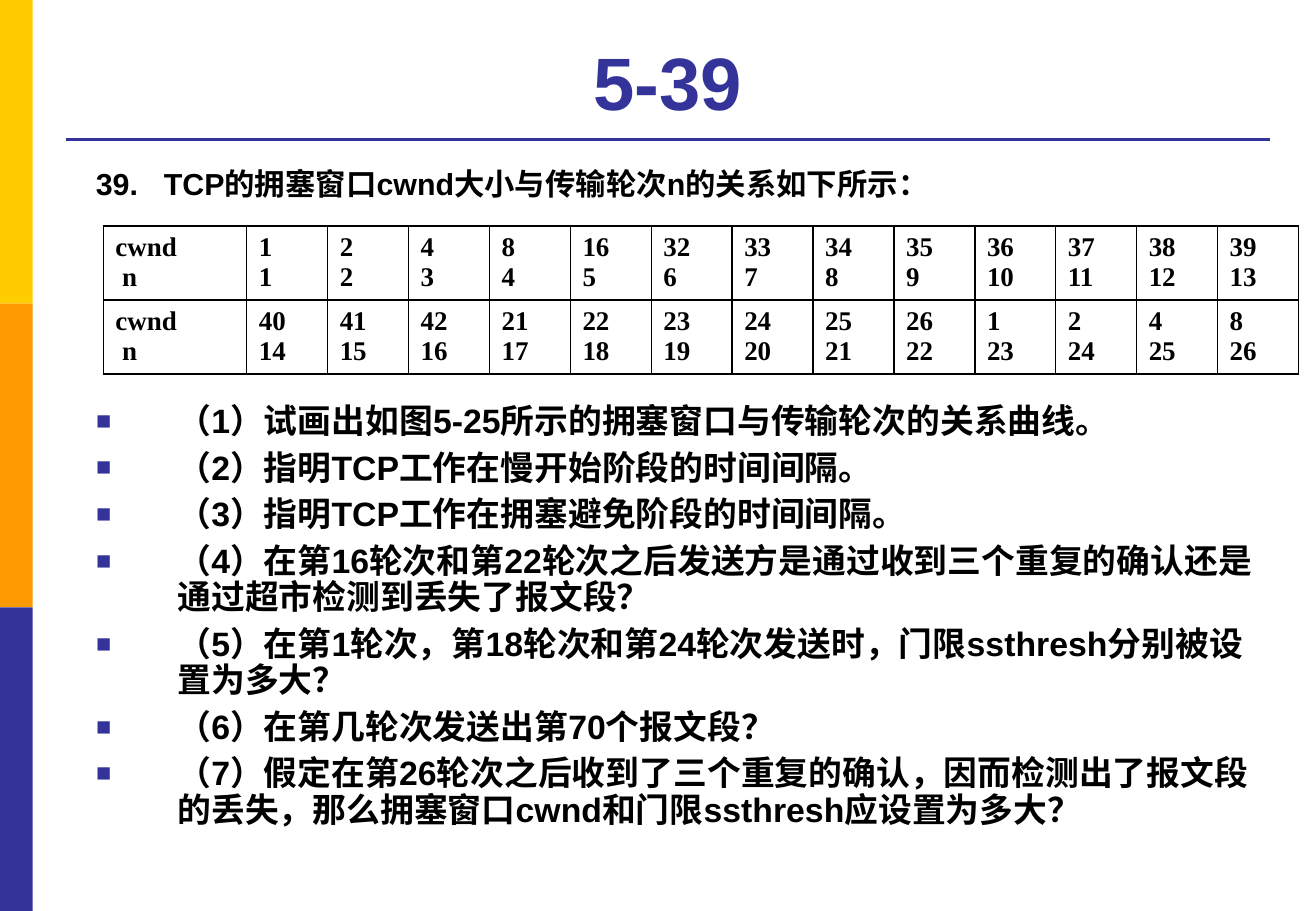
from lxml import etree
from pptx import Presentation
from pptx.dml.color import RGBColor
from pptx.enum.shapes import MSO_CONNECTOR, MSO_SHAPE
from pptx.enum.text import MSO_ANCHOR, MSO_AUTO_SIZE, PP_ALIGN
from pptx.oxml.ns import qn
from pptx.util import Inches, Pt

STRAIGHT = MSO_CONNECTOR.STRAIGHT
RECTANGLE = MSO_SHAPE.RECTANGLE
TOP, BOTTOM = MSO_ANCHOR.TOP, MSO_ANCHOR.BOTTOM
NO_FIT = MSO_AUTO_SIZE.NONE
LEFT, CENTER = PP_ALIGN.LEFT, PP_ALIGN.CENTER

YELLOW = RGBColor(0xFF, 0xCC, 0x00)
ORANGE = RGBColor(0xFF, 0x99, 0x00)
INDIGO = RGBColor(0x33, 0x33, 0x99)
BLACK = RGBColor(0, 0, 0)

WIDTH, HEIGHT = Inches(10.83), Inches(7.5)

WINDOWS = [
    [1, 2, 4, 8, 16, 32, 33, 34, 35, 36, 37, 38, 39],
    [40, 41, 42, 21, 22, 23, 24, 25, 26, 1, 2, 4, 8],
]
QUESTIONS = [
    "（1）试画出如图5-25所示的拥塞窗口与传输轮次的关系曲线。",
    "（2）指明TCP工作在慢开始阶段的时间间隔。",
    "（3）指明TCP工作在拥塞避免阶段的时间间隔。",
    "（4）在第16轮次和第22轮次之后发送方是通过收到三个重复的确认还是通过超市检测到丢失了报文段？",
    "（5）在第1轮次，第18轮次和第24轮次发送时，门限ssthresh分别被设置为多大？",
    "（6）在第几轮次发送出第70个报文段？",
    "（7）假定在第26轮次之后收到了三个重复的确认，因而检测出了报文段的丢失，那么拥塞窗口cwnd和门限ssthresh应设置为多大？",
]


def box(left, top, width, height):
    return tuple(Inches(length) for length in (left, top, width, height))


def place(shape, area):
    shape.left, shape.top, shape.width, shape.height = area


def add_bullet(properties):
    color = etree.SubElement(properties, qn("a:buClr"))
    etree.SubElement(color, qn("a:srgbClr"), val=str(INDIGO))
    etree.SubElement(properties, qn("a:buSzPct"), val="75000")
    etree.SubElement(properties, qn("a:buFont"), typeface="Arial")
    etree.SubElement(properties, qn("a:buChar"), char="■")


def write(frame, lines, size, font="Arial", color=BLACK, align=LEFT,
          anchor=TOP, hanging=0, spacing=1.0, before=0, bullet=False):
    frame.word_wrap = True
    frame.vertical_anchor = anchor
    for index, line in enumerate(lines):
        paragraph = frame.add_paragraph() if index else frame.paragraphs[0]
        paragraph.alignment = align
        paragraph.line_spacing = spacing
        paragraph.space_before = Pt(before)
        properties = paragraph._p.get_or_add_pPr()
        properties.set("marL", str(Inches(hanging)))
        properties.set("indent", str(-Inches(hanging)))
        if bullet:
            add_bullet(properties)
        run = paragraph.add_run()
        run.text = line
        run.font.size = Pt(size)
        run.font.name = font
        run.font.bold = True
        run.font.color.rgb = color


def draw_side_band(slide, area):
    left, top, width, height = area
    colors = (YELLOW, ORANGE, INDIGO)
    step = height // len(colors)
    for index, color in enumerate(colors):
        block = slide.shapes.add_shape(RECTANGLE, left, top + index * step, width, step)
        block.shadow.inherit = False
        block.fill.solid()
        block.fill.fore_color.rgb = color
        block.line.fill.background()


def draw_heading(slide, area):
    left, top, width, height = area
    heading = slide.shapes.title
    place(heading, area)
    heading.text_frame.auto_size = NO_FIT
    write(heading.text_frame, ["5-39"], 44, color=INDIGO, align=CENTER, anchor=BOTTOM)
    rule_y = top + round(height * 1.08)
    rule = slide.shapes.add_connector(STRAIGHT, left, rule_y, left + width, rule_y)
    rule.line.color.rgb = INDIGO
    rule.line.width = Pt(2.25)
    etree.SubElement(rule._element.spPr, qn("a:effectLst"))


def draw_intro(slide, area):
    intro = slide.shapes.add_textbox(*area)
    write(intro.text_frame, ["39.\tTCP的拥塞窗口cwnd大小与传输轮次n的关系如下所示："], 18, hanging=0.56)


def border_cell(cell):
    properties = cell._tc.get_or_add_tcPr()
    for index, side in enumerate(("a:lnL", "a:lnR", "a:lnT", "a:lnB")):
        edge = etree.Element(qn(side), w=str(Pt(1)))
        fill = etree.SubElement(edge, qn("a:solidFill"))
        etree.SubElement(fill, qn("a:srgbClr"), val=str(BLACK))
        properties.insert(index, edge)


def draw_window_table(slide, area):
    rounds = len(WINDOWS[0])
    table = slide.shapes.add_table(len(WINDOWS), rounds + 1, *area).table
    table.first_row = table.horz_banding = False
    label_width = round(area[2] * 0.12)
    for index, column in enumerate(table.columns):
        column.width = (area[2] - label_width) // rounds if index else label_width
    for row, windows in enumerate(WINDOWS):
        table.rows[row].height = area[3] // len(WINDOWS)
        first_round = row * rounds + 1
        pairs = [("cwnd", " n")] + [
            (str(window), str(number)) for number, window in enumerate(windows, first_round)]
        for column, pair in enumerate(pairs):
            cell = table.cell(row, column)
            cell.fill.background()
            border_cell(cell)
            write(cell.text_frame, pair, 16, font="Times New Roman", hanging=0.38)


def draw_questions(slide, area):
    questions = slide.placeholders[1]
    place(questions, area)
    questions.text_frame.auto_size = NO_FIT
    write(questions.text_frame, QUESTIONS, 20, hanging=0.67, spacing=0.9, before=6, bullet=True)


def main():
    deck = Presentation()
    deck.slide_width, deck.slide_height = WIDTH, HEIGHT
    slide = deck.slides.add_slide(deck.slide_layouts[1])
    draw_side_band(slide, (0, 0, Inches(0.27), HEIGHT))
    draw_heading(slide, box(0.54, 0.21, 9.91, 0.87))
    draw_questions(slide, box(0.69, 3.28, 9.76, 3.86))
    draw_window_table(slide, box(0.85, 1.86, 9.84, 1.22))
    draw_intro(slide, box(0.69, 1.31, 8.35, 0.4))
    deck.save("out.pptx")


if __name__ == "__main__":
    main()
